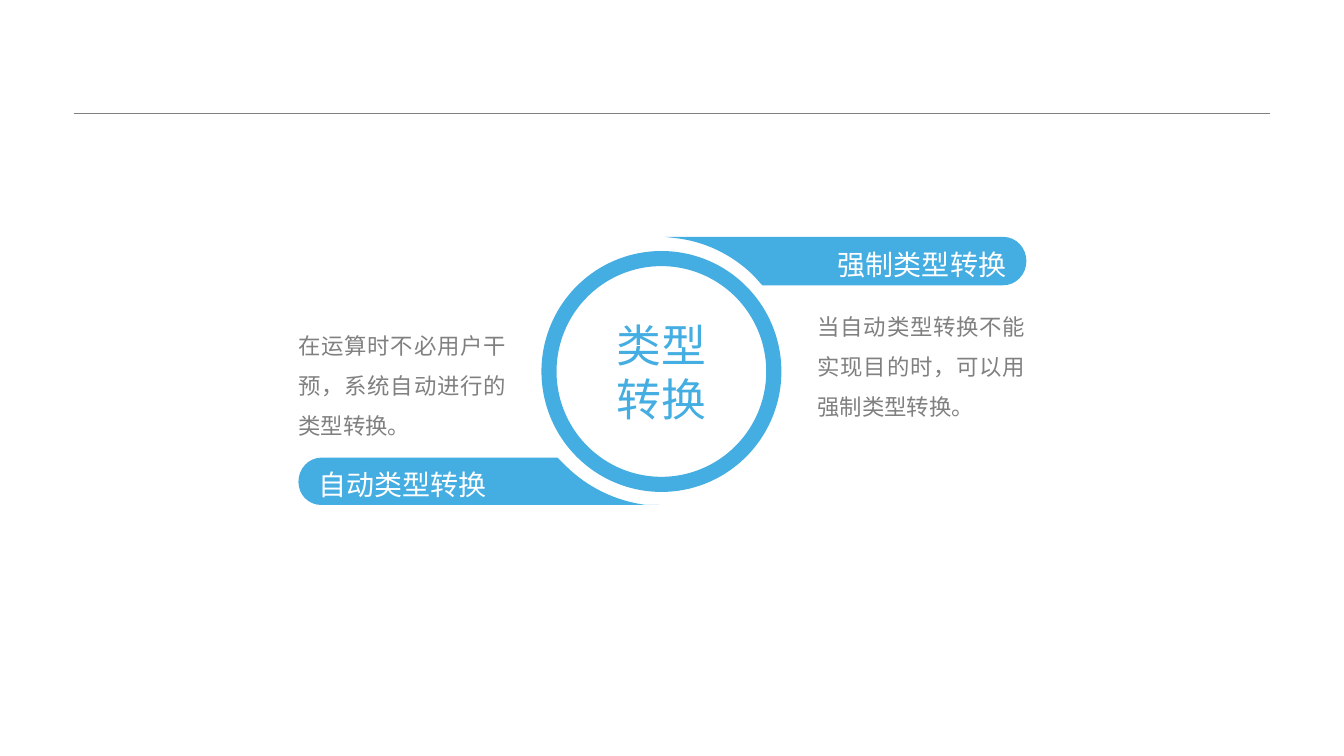
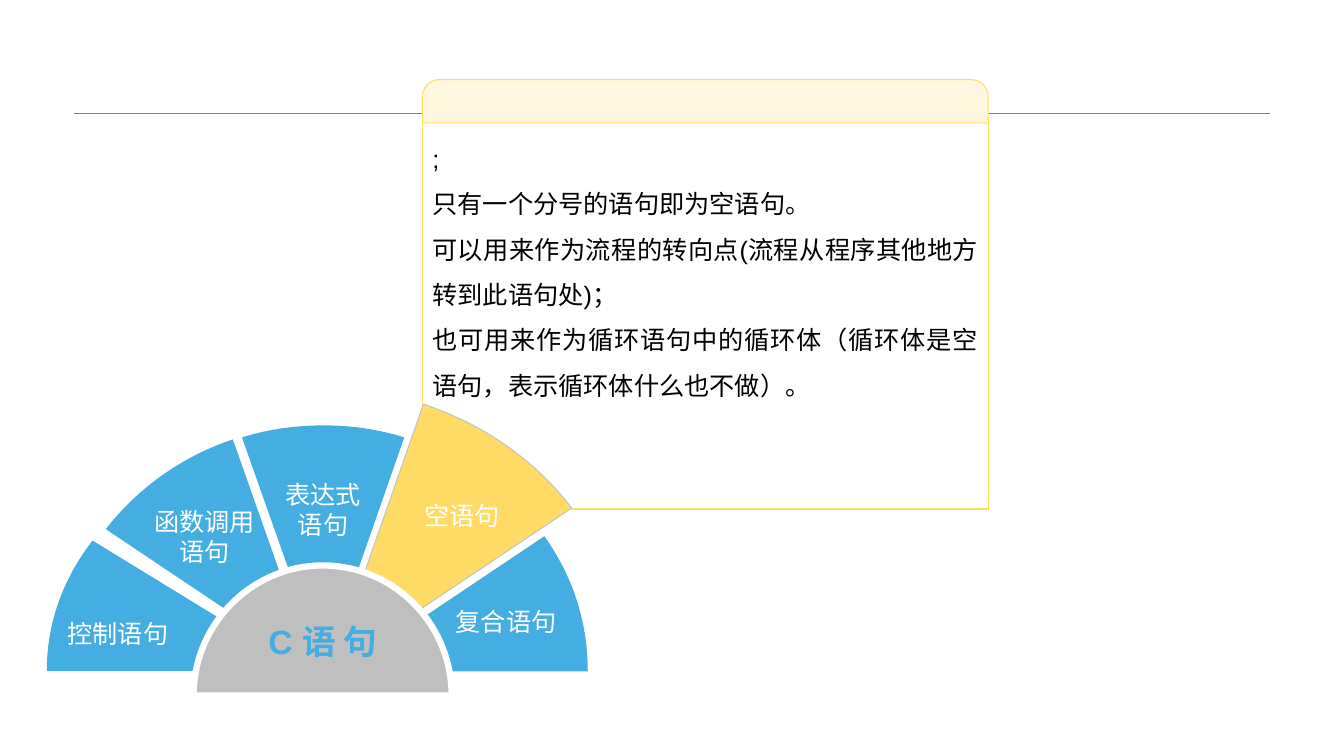
from lxml import etree
from pptx import Presentation
from pptx.dml.color import RGBColor
from pptx.enum.shapes import MSO_CONNECTOR, MSO_SHAPE
from pptx.enum.text import MSO_ANCHOR, PP_ALIGN
from pptx.oxml.ns import qn
from pptx.util import Inches, Pt

LEFT, CENTER, RIGHT, JUSTIFY = (
    PP_ALIGN.LEFT, PP_ALIGN.CENTER, PP_ALIGN.RIGHT, PP_ALIGN.JUSTIFY)
TOP, MIDDLE, BOTTOM = MSO_ANCHOR.TOP, MSO_ANCHOR.MIDDLE, MSO_ANCHOR.BOTTOM

FONT = "Arial"
COLORS = {
    "blue": "44ADE1",
    "yellow": "FFDB65",
    "cream": "FFF8E0",
    "gray": "808080",
    "hub": "BFBFBF",
    "edge": "C4C4C4",
    "white": "FFFFFF",
    "black": "000000",
}

# An outline is a start point, then line ends (x, y)
# or Bezier curves (control, control, end as six numbers).
LEFT_BANNER = [
    (3.19, 4.54), (5.53, 4.54), (5.61, 4.62),
    (5.82, 4.83, 6.1, 4.97, 6.41, 5.01), (6.54, 5.01), (3.19, 5.01),
    (3.06, 5.01, 2.96, 4.91, 2.96, 4.78),
    (2.96, 4.65, 3.06, 4.54, 3.19, 4.54),
]
RIGHT_BANNER = [
    (6.6, 2.35), (9.95, 2.35),
    (10.08, 2.35, 10.18, 2.46, 10.18, 2.59),
    (10.18, 2.72, 10.08, 2.83, 9.95, 2.83),
    (7.56, 2.83), (7.48, 2.74), (7.27, 2.53, 6.99, 2.39, 6.68, 2.36),
    (6.6, 2.35),
]
HUB = [
    (4.48, 6.9), (4.48, 6.19, 3.91, 5.61, 3.2, 5.61),
    (2.5, 5.61, 1.92, 6.19, 1.92, 6.9),
]

# label, outline, insets, alignment, fill, line
WEDGES = [
    ("控制语句",
     [(3.01, 6.65), (0.92, 5.37), (0.64, 5.73, 0.47, 6.17, 0.47, 6.65)],
     (0.2, 0.59, 0.1, 0.05), JUSTIFY, "blue", "blue"),
    ("函数调用\n语句",
     [(3.11, 6.63), (2.31, 4.36), (1.8, 4.53, 1.36, 4.85, 1.05, 5.25)],
     (0.1, 0.05, 0.2, 0.39), CENTER, "blue", None),
    ("表达式\n语句",
     [(3.21, 6.63), (4.01, 4.34), (3.76, 4.26, 3.49, 4.22, 3.21, 4.22),
      (2.93, 4.22, 2.65, 4.26, 2.4, 4.34)],
     (0.1, 0.05, 0.1, 0.79), CENTER, "blue", None),
    ("空语句",
     [(3.28, 6.64), (5.67, 5.04), (5.31, 4.57, 4.8, 4.21, 4.2, 4.01)],
     (0.31, 0.05, 0.1, 0.47), CENTER, "yellow", "edge"),
    ("复合语句",
     [(3.4, 6.66), (5.83, 6.66), (5.83, 6.15, 5.67, 5.7, 5.4, 5.32)],
     (0.91, 0.39, 0.1, 0.05), CENTER, "blue", None),
]

EMPTY_STATEMENT = "\n".join([
    ";",
    "只有一个分号的语句即为空语句。",
    "可以用来作为流程的转向点(流程从程序其他地方转到此语句处)；",
    "也可用来作为循环语句中的循环体（循环体是空语句，表示循环体什么也不做）。",
])


def rgb(name):
    return RGBColor.from_string(COLORS[name])


def style(sp, fill, line=None, width=0.75):
    sp.shadow.inherit = False
    sp.fill.solid()
    sp.fill.fore_color.rgb = rgb(fill)
    if line:
        sp.line.color.rgb = rgb(line)
        sp.line.width = Pt(width)
    else:
        sp.line.fill.background()


def write(sp, text, size, color, insets, align=CENTER, anchor=MIDDLE,
          spacing=1.0, bold=False):
    """Fill a shape with text; insets run left, top, right, bottom."""
    tf = sp.text_frame
    tf.word_wrap = True
    tf.vertical_anchor = anchor
    tf.margin_left, tf.margin_top, tf.margin_right, tf.margin_bottom = map(
        Inches, insets)
    tf.text = text
    for p in tf.paragraphs:
        p.alignment = align
        p.line_spacing = spacing
        for r in p.runs:
            r.font.name = FONT
            r.font.size = Pt(size)
            r.font.bold = bold
            r.font.color.rgb = rgb(color)


def add_preset(s, kind, box, fill, line=None, adjust=()):
    sp = s.shapes.add_shape(kind, *map(Inches, box))
    for i, value in enumerate(adjust):
        sp.adjustments[i] = value
    style(sp, fill, line)
    return sp


def bend_segments(sp, outline):
    """Turn the straight segments of the outline's curves into Beziers."""
    segments = sp.element.xpath(".//a:path/*")
    for segment, step in zip(segments, outline):
        if len(step) == 2:
            continue
        segment.tag = qn("a:cubicBezTo")
        for i, (x, y) in enumerate((step[:2], step[2:4])):
            control = etree.Element(qn("a:pt"))
            control.set("x", str(Inches(x) - sp.left))
            control.set("y", str(Inches(y) - sp.top))
            segment.insert(i, control)


def add_outline(s, outline, fill, line=None, width=0.75):
    ends = [tuple(map(Inches, step[-2:])) for step in outline]
    builder = s.shapes.build_freeform(*ends[0])
    builder.add_line_segments(ends[1:], close=True)
    sp = builder.convert_to_shape()
    bend_segments(sp, outline)
    style(sp, fill, line, width)
    return sp


def add_banner(s, outline, text, align):
    sp = add_outline(s, outline, "blue")
    write(sp, text, 20, "white", (0.2, 0.05, 0.2, 0.05), align, spacing=1.2)


def add_note(s, box, text, insets, anchor):
    sp = s.shapes.add_textbox(*map(Inches, box))
    write(sp, text, 16, "gray", insets, JUSTIFY, anchor, 1.5)


def add_layout_rule(s):
    """Draw the header rule and move it to the layout all slides share."""
    rule = s.shapes.add_connector(
        MSO_CONNECTOR.STRAIGHT,
        Inches(0.73), Inches(1.12), Inches(12.6), Inches(1.12))
    rule.line.color.rgb = rgb("gray")
    rule.line.width = Pt(0.25)
    etree.SubElement(rule.element.spPr, qn("a:effectLst"))
    rule.element.xpath("./p:nvCxnSpPr/p:cNvPr")[0].set("id", "100")
    s.slide_layout.shapes.element.append(rule.element)


def build_conversion(s):
    add_banner(s, RIGHT_BANNER, "强制类型转换", RIGHT)
    add_banner(s, LEFT_BANNER, "自动类型转换", LEFT)
    ring = add_preset(s, MSO_SHAPE.DONUT, (5.37, 2.49, 2.38, 2.39), "blue",
                      adjust=(0.063,))
    write(ring, "类型\n转换", 32, "blue", (0, 0, 0, 0))
    add_note(s, (2.96, 2.18, 2.26, 2.34),
             "在运算时不必用户干预，系统自动进行的类型转换。",
             (0, 0.16, 0.2, 0.16), BOTTOM)
    add_note(s, (7.91, 2.81, 2.26, 1.89),
             "当自动类型转换不能实现目的时，可以用强制类型转换。",
             (0.2, 0.16, 0, 0.16), TOP)


def build_statements(s):
    panel = add_preset(s, MSO_SHAPE.RECTANGLE, (4.19, 1.17, 5.61, 3.88),
                       "white", "yellow")
    write(panel, EMPTY_STATEMENT, 18, "black", (0.1, 0.1, 0.1, 0.1),
          JUSTIFY, TOP, 1.5)
    add_preset(s, MSO_SHAPE.ROUND_2_SAME_RECTANGLE, (4.19, 0.79, 5.61, 0.43),
               "cream", "yellow", (0.387, 0))
    for label, outline, insets, align, fill, line in WEDGES:
        wedge = add_outline(s, outline, fill, line)
        write(wedge, label, 18, "white", insets, align)
    hub = add_outline(s, HUB, "hub", "white", 4.5)
    write(hub, "C 语 句", 24, "blue", (0, 0.2, 0, 0), bold=True)


def main():
    prs = Presentation()
    prs.slide_width, prs.slide_height = Inches(13.33), Inches(7.5)
    blank = prs.slide_layouts[6]
    conversion = prs.slides.add_slide(blank)
    add_layout_rule(conversion)
    build_conversion(conversion)
    build_statements(prs.slides.add_slide(blank))
    prs.save("out.pptx")


if __name__ == "__main__":
    main()
